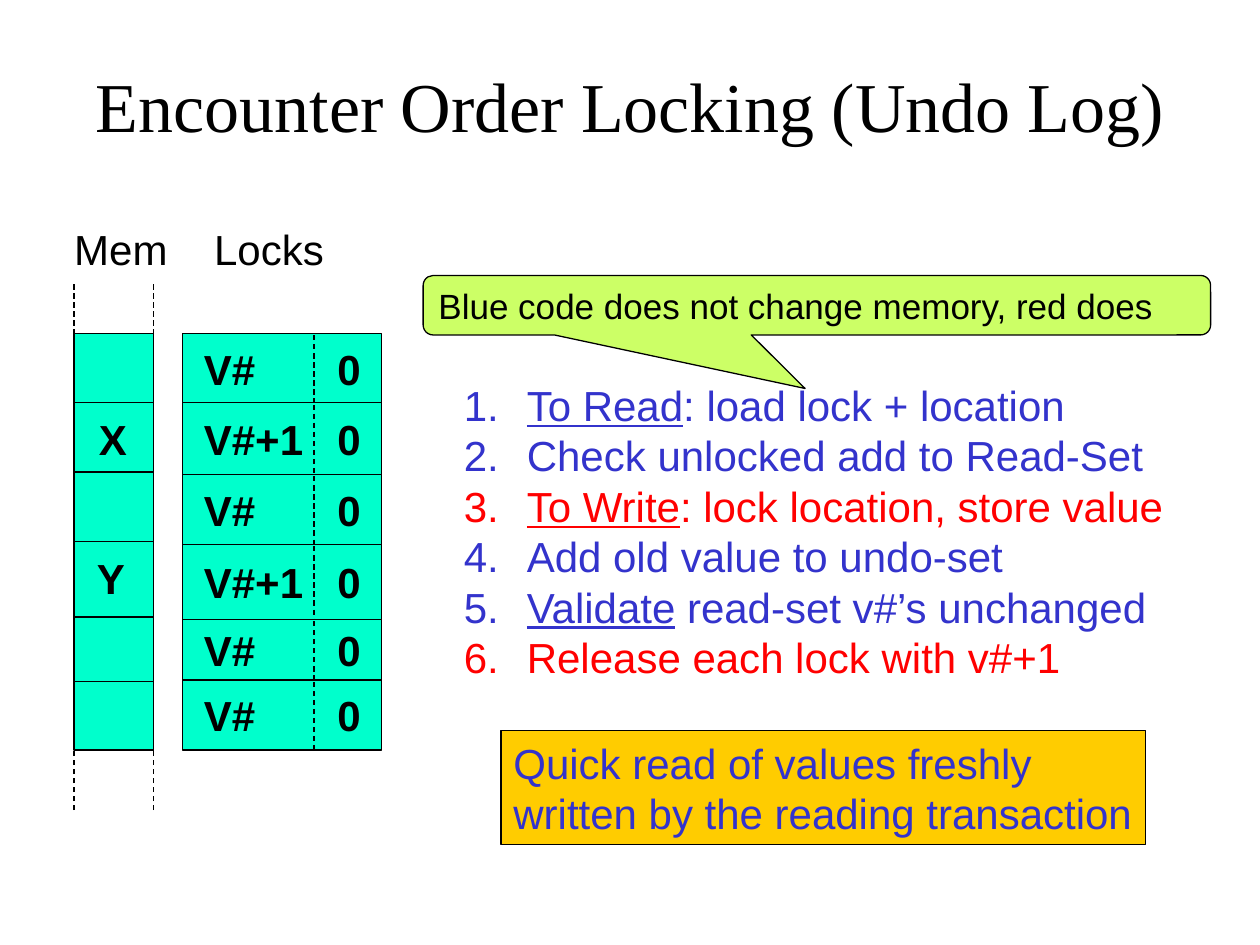
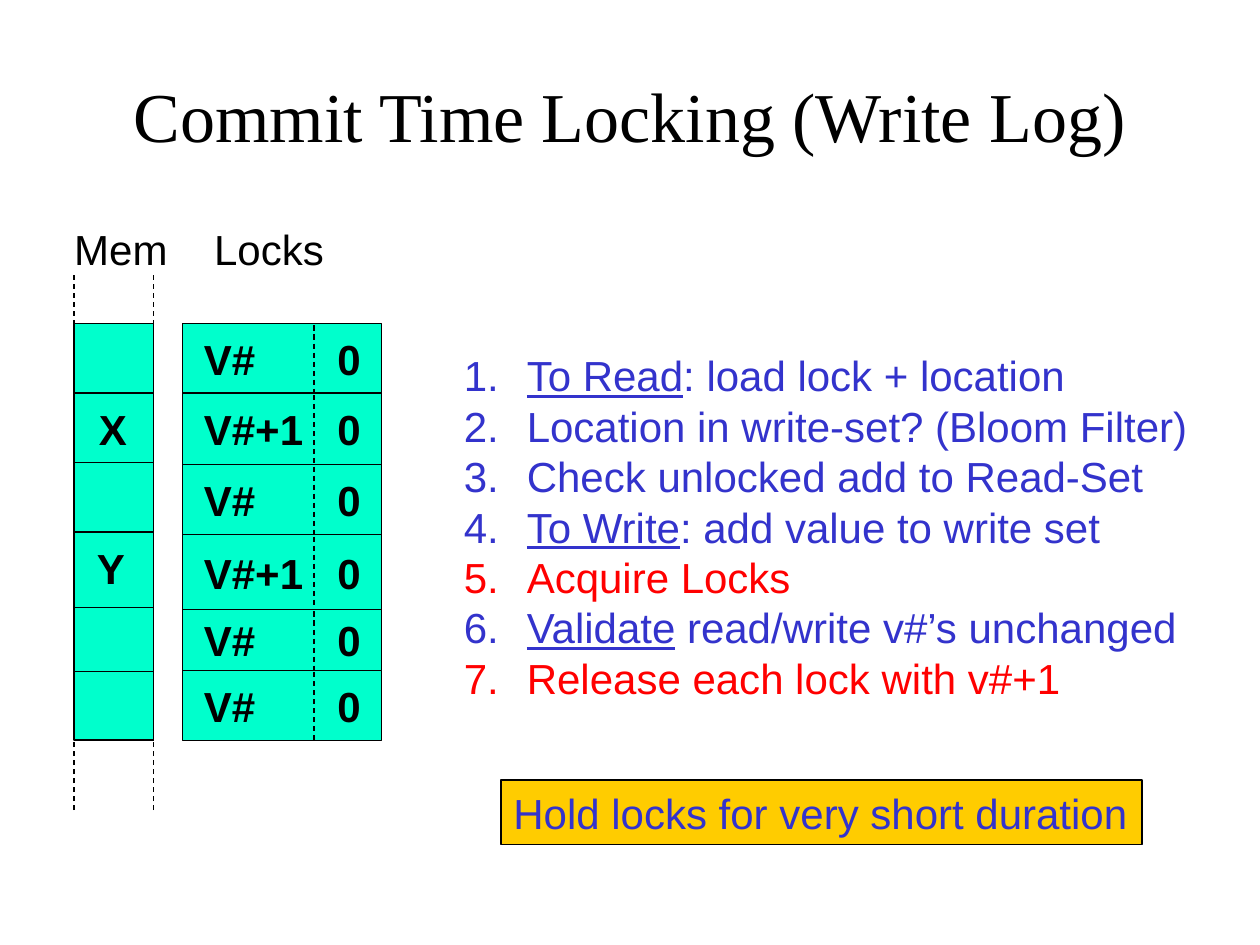
from itertools import pairwise

from lxml.etree import SubElement
from pptx import Presentation
from pptx.dml.color import RGBColor
from pptx.enum.dml import MSO_LINE
from pptx.enum.shapes import MSO_CONNECTOR, MSO_SHAPE as Preset
from pptx.enum.text import MSO_ANCHOR as Anchor, MSO_AUTO_SIZE, PP_ALIGN as Align
from pptx.oxml.ns import qn
from pptx.util import Pt

# Shared style
BLACK, BLUE, RED = "000000", "3333CC", "FF0000"
CELL, NOTE, CALLOUT = "00FFCC", "FFCC00", "CCFF66"
SANS, SERIF = "Arial", "Times New Roman"
TEXT_SIZE, LINE_PITCH = 24, 28.8

# Content: each step is (underlined lead, rest, colour)
LOCKS = [("V#", "0"), ("V#+1", "0"), ("V#", "0"), ("V#+1", "0"), ("V#", "0"), ("V#", "0")]
SLIDES = [
    {
        "title": "Encounter Order Locking (Undo Log)",
        "title_box": (14, 15, 692, 90),
        "steps": [
            ("To Read", ": load lock + location", BLUE),
            ("", "Check unlocked add to Read-Set", BLUE),
            ("To Write", ": lock location, store value", RED),
            ("", "Add old value to undo-set", BLUE),
            ("Validate", " read-set v#’s unchanged", BLUE),
            ("", "Release each lock with v#+1", RED),
        ],
        "steps_top": 213.2,
        "columns_top": 190.6,
        "note": ["Quick read of values freshly", "written by the reading transaction"],
        "note_box": (286.3, 417.3, 368.5, 65.5),
        "callout": "Blue code does not change memory, red does",
    },
    {
        "title": "Commit Time Locking (Write Log)",
        "title_box": (25.4, 20.4, 669, 90),
        "steps": [
            ("To Read", ": load lock + location", BLUE),
            ("", "Location in write-set? (Bloom Filter)", BLUE),
            ("", "Check unlocked add to Read-Set", BLUE),
            ("To Write", ": add value to write set", BLUE),
            ("", "Acquire Locks", RED),
            ("Validate", " read/write v#’s unchanged", BLUE),
            ("", "Release each lock with v#+1", RED),
        ],
        "steps_top": 196.3,
        "columns_top": 185,
        "note": ["Hold locks for very short duration"],
        "note_box": (286.3, 445.7, 366.3, 37),
        "callout": None,
    },
]

# Columns: left, width and the row edges below the top of the columns
MEMORY_LEFT, MEMORY_WIDTH = 42.3, 45.5
MEMORY_EDGES = [0, 39.6, 79.2, 119, 162, 198.7, 238]
MEMORY_LABELS = [("X", 49.4, 42), ("Y", 48.3, 121.4)]
LOCKS_LEFT, LOCKS_WIDTH = 104.4, 113.8
LOCKS_EDGES = [0, 39.6, 80.6, 120.6, 163.4, 198, 238]
LOCK_BIT_LINE, LOCK_INSET, LOCK_TAB = 179.5, 12.1, 76.3
DASH_RISE, DASH_OVERLAP, DASH_END = 28.5, 5.8, 463


def color(hex_code):
    return RGBColor.from_string(hex_code)


def add_span(para, text, ink=BLACK, size=TEXT_SIZE, font=SANS, bold=False, underline=False):
    span = para.add_run()
    span.text = text
    span.font.name, span.font.size = font, Pt(size)
    span.font.bold, span.font.underline = bold, underline
    span.font.color.rgb = color(ink)


def add_tab(para, position):
    tabs = SubElement(para._p.get_or_add_pPr(), qn("a:tabLst"))
    SubElement(tabs, qn("a:tab"), pos=str(Pt(position)), algn="l")


def place(shape, left, top, width, height):
    shape.left, shape.top = Pt(left), Pt(top)
    shape.width, shape.height = Pt(width), Pt(height)


def add_box(page, bounds, fill, preset=Preset.RECTANGLE):
    box = page.shapes.add_shape(preset, *map(Pt, bounds))
    box.shadow.inherit = False
    box.fill.solid()
    box.fill.fore_color.rgb = color(fill)
    box.line.color.rgb = color(BLACK)
    box.line.width = Pt(0.75)
    box.text_frame.vertical_anchor = Anchor.MIDDLE
    box.text_frame.paragraphs[0].alignment = Align.LEFT
    return box


def add_label(page, left, top, width):
    label = page.shapes.add_textbox(Pt(left), Pt(top), Pt(width), Pt(36))
    label.text_frame.word_wrap = True
    return label.text_frame.paragraphs[0]


def add_line(page, start, end, dashed=False):
    line = page.shapes.add_connector(MSO_CONNECTOR.STRAIGHT, *map(Pt, start + end))
    line.line.color.rgb = color(BLACK)
    line.line.width = Pt(0.75)
    if dashed:
        line.line.dash_style = MSO_LINE.DASH
    SubElement(line._element.spPr, qn("a:effectLst"))


def add_title(page, text, bounds):
    title = page.shapes.title
    place(title, *bounds)
    frame = title.text_frame
    frame.auto_size, frame.vertical_anchor = MSO_AUTO_SIZE.NONE, Anchor.MIDDLE
    frame.paragraphs[0].alignment = Align.CENTER
    add_span(frame.paragraphs[0], text, size=40, font=SERIF)


def add_steps(page, steps, top):
    body = page.placeholders[1]
    place(body, 257.8, top, 438.5, len(steps) * LINE_PITCH + 7.2)
    frame = body.text_frame
    frame.auto_size = MSO_AUTO_SIZE.NONE
    for index, (lead, rest, ink) in enumerate(steps):
        para = frame.add_paragraph() if index else frame.paragraphs[0]
        para.line_spacing, para.space_before = Pt(LINE_PITCH), Pt(0)
        settings = para._p.get_or_add_pPr()
        settings.set("marL", str(Pt(36)))
        settings.set("indent", str(Pt(-36)))
        SubElement(settings, qn("a:buFont"), typeface=SANS)
        SubElement(settings, qn("a:buAutoNum"), type="arabicPeriod")
        if lead:
            add_span(para, lead, ink, underline=True)
        add_span(para, rest, ink)


def add_memory(page, top):
    right, bottom = MEMORY_LEFT + MEMORY_WIDTH, top + MEMORY_EDGES[-1]
    add_box(page, (MEMORY_LEFT, top, MEMORY_WIDTH, MEMORY_EDGES[-1]), CELL)
    for edge in MEMORY_EDGES[1:]:
        add_line(page, (MEMORY_LEFT, top + edge), (right, top + edge))
    # Dashed sides show that memory runs on above and below
    for x in (MEMORY_LEFT, right):
        add_line(page, (x, top + DASH_OVERLAP), (x, top - DASH_RISE), dashed=True)
        add_line(page, (x, DASH_END), (x, bottom), dashed=True)
    for text, left, offset in MEMORY_LABELS:
        add_span(add_label(page, left, top + offset, 30.5), text, bold=True)


def add_locks(page, top):
    # Each row holds a version number and a lock bit
    for values, (start, end) in zip(LOCKS, pairwise(LOCKS_EDGES)):
        row = add_box(page, (LOCKS_LEFT, top + start, LOCKS_WIDTH, end - start), CELL)
        row.text_frame.margin_left, row.text_frame.margin_right = Pt(LOCK_INSET), 0
        para = row.text_frame.paragraphs[0]
        add_tab(para, LOCK_TAB)
        add_span(para, "\t".join(values), bold=True)
        add_line(page, (LOCK_BIT_LINE, top + start + 1), (LOCK_BIT_LINE, top + end + 1),
                 dashed=True)


def add_columns(page, top):
    heading = add_label(page, 35.3, 124.2, 157)
    add_tab(heading, 80)
    add_span(heading, "Mem\tLocks")
    add_memory(page, top)
    add_locks(page, top)


def add_note(page, lines, bounds):
    frame = add_box(page, bounds, NOTE).text_frame
    frame.word_wrap = False
    for index, text in enumerate(lines):
        para = frame.add_paragraph() if index else frame.paragraphs[0]
        para.alignment, para.line_spacing = Align.LEFT, Pt(LINE_PITCH)
        add_span(para, text, BLUE)


def add_callout(page, text):
    callout = add_box(page, (241.8, 157.4, 450, 34), CALLOUT, Preset.ROUNDED_RECTANGULAR_CALLOUT)
    for index, value in enumerate((-0.015, 1.4, 0.167)):
        callout.adjustments[index] = value
    add_span(callout.text_frame.paragraphs[0], text, size=20)


def main():
    deck = Presentation()
    deck.slide_width, deck.slide_height = Pt(720), Pt(540)
    for content in SLIDES:
        page = deck.slides.add_slide(deck.slide_layouts[1])
        add_title(page, content["title"], content["title_box"])
        add_steps(page, content["steps"], content["steps_top"])
        add_columns(page, content["columns_top"])
        add_note(page, content["note"], content["note_box"])
        if content["callout"]:
            add_callout(page, content["callout"])
    deck.save("out.pptx")


if __name__ == "__main__":
    main()
